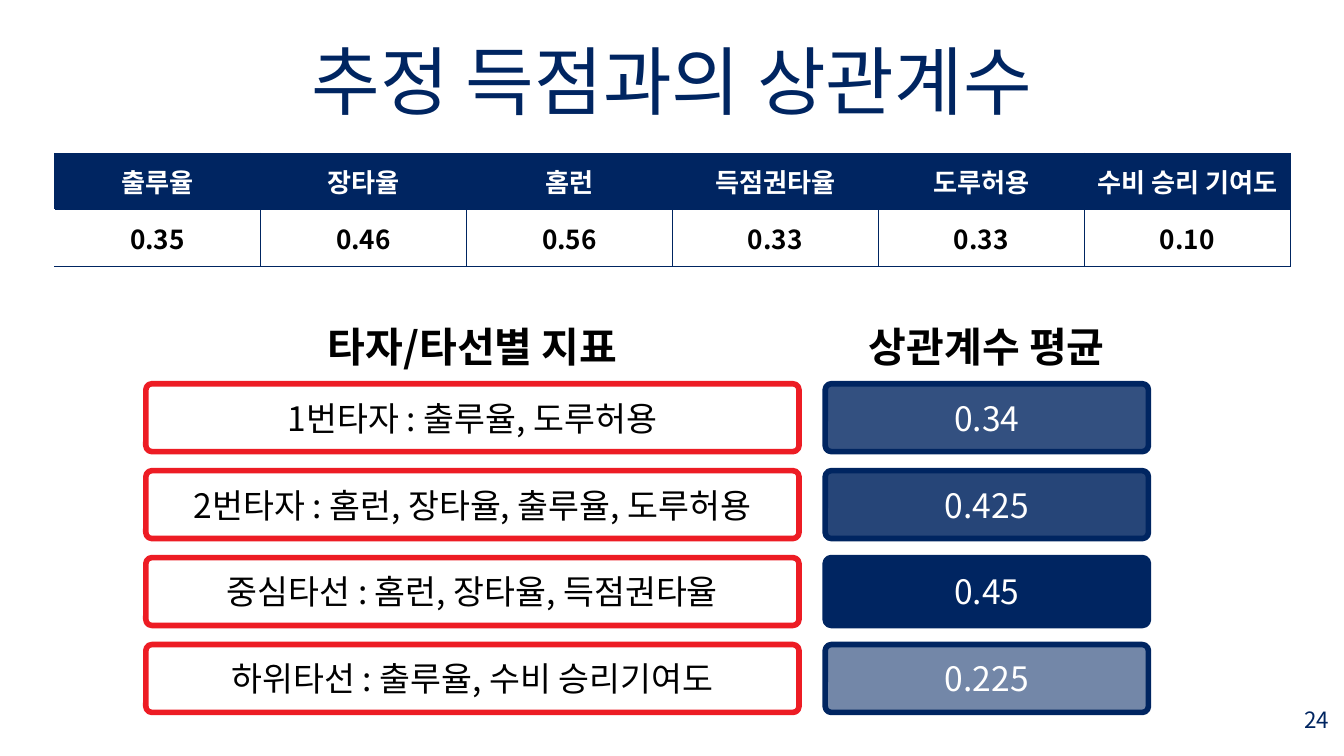
"""Build the slide on correlation with estimated runs in baseball."""
from dataclasses import dataclass

from lxml.etree import SubElement
from pptx import Presentation
from pptx.dml.color import RGBColor
from pptx.enum.shapes import MSO_SHAPE
from pptx.enum.text import MSO_ANCHOR, MSO_AUTO_SIZE, PP_ALIGN
from pptx.oxml.ns import qn
from pptx.util import Inches, Pt


@dataclass(frozen=True)
class Theme:
    font: str = "Noto Sans CJK KR"
    navy: str = "002561"
    red: str = "ED1C24"
    black: str = "000000"
    white: str = "FFFFFF"
    title: int = 80
    heading: int = 44
    body: int = 36
    table: int = 28
    number: int = 24
    outline: int = 6
    border: int = 1


theme = Theme()
presentation = Presentation()
presentation.slide_width = Inches(20)
presentation.slide_height = Inches(11.25)
slide = presentation.slides.add_slide(presentation.slide_layouts[5])


def share(left, top, width, height):
    """Turn percentages of the slide's size into lengths."""
    across, down = presentation.slide_width, presentation.slide_height
    return [int(part * whole / 100) for part, whole in
            zip((left, top, width, height), (across, down, across, down))]


def write_text(frame, text, *, size, color, bold=False, align=PP_ALIGN.CENTER):
    """Write one formatted paragraph into a text frame."""
    paragraph = frame.paragraphs[0]
    paragraph.alignment = align
    run = paragraph.add_run()
    run.text = text
    run.font.size = Pt(size)
    run.font.bold = bold
    run.font.name = theme.font
    run.font.color.rgb = RGBColor.from_string(color)
    SubElement(run.font._element, qn("a:ea"), typeface=theme.font)


title = slide.shapes.title
title.left, title.top, title.width, title.height = share(14.6, 3.73, 70.8, 14.67)
title.text_frame.auto_size = MSO_AUTO_SIZE.NONE
title.text_frame.vertical_anchor = MSO_ANCHOR.TOP
title.text_frame.margin_top = title.text_frame.margin_bottom = Inches(0.1)
write_text(title.text_frame, "추정 득점과의 상관계수", size=theme.title, color=theme.navy)

statistics = [
    ("출루율", "0.35"),
    ("장타율", "0.46"),
    ("홈런", "0.56"),
    ("득점권타율", "0.33"),
    ("도루허용", "0.33"),
    ("수비 승리 기여도", "0.10"),
]
table = slide.shapes.add_table(2, len(statistics), *share(4.05, 20.27, 91.95, 14.93)).table
table.horz_banding = False
for column, pair in enumerate(statistics):
    for row, text in enumerate(pair):
        cell = table.cell(row, column)
        cell.vertical_anchor = MSO_ANCHOR.MIDDLE
        sides = "RTB" if row == 1 and column == 0 else "LRTB"
        for side in sides:
            border = SubElement(cell._tc.get_or_add_tcPr(), qn(f"a:ln{side}"),
                                w=str(Pt(theme.border)))
            SubElement(SubElement(border, qn("a:solidFill")), qn("a:srgbClr"), val=theme.navy)
        cell.fill.solid()
        cell.fill.fore_color.rgb = RGBColor.from_string(theme.white if row else theme.navy)
        write_text(cell.text_frame, text, size=theme.table, bold=True,
                   color=theme.black if row else theme.white)

labels = [
    ("타자/타선별 지표", (16.55, 41.6, 37.25, 9), theme.heading, theme.black, True, PP_ALIGN.CENTER),
    ("상관계수 평균", (54.8, 41.6, 37.25, 9), theme.heading, theme.black, True, PP_ALIGN.CENTER),
    ("24", (87.9, 91.38, 11.5, 7.56), theme.number, theme.navy, False, PP_ALIGN.RIGHT),
]
for text, area, size, color, bold, align in labels:
    frame = slide.shapes.add_textbox(*share(*area)).text_frame
    frame.word_wrap = True
    frame.margin_top = frame.margin_bottom = Inches(0.1)
    if align == PP_ALIGN.RIGHT:
        frame.vertical_anchor = MSO_ANCHOR.MIDDLE
    write_text(frame, text, size=size, color=color, bold=bold, align=align)

lineups = [
    ("1번타자 : 출루율, 도루허용", "0.34", 80),
    ("2번타자 : 홈런, 장타율, 출루율, 도루허용", "0.425", 85),
    ("중심타선 : 홈런, 장타율, 득점권타율", "0.45", 100),
    ("하위타선 : 출루율, 수비 승리기여도", "0.225", 55),
]
first_row, row_pitch, row_height = 50.76, 11.5, 8.98
for row, (indicators, average, opacity) in enumerate(lineups):
    boxes = [
        (indicators, 10.85, 48.6, theme.white, theme.red, theme.black, 100),
        (average, 61.4, 24.05, theme.navy, theme.navy, theme.white, opacity),
    ]
    for text, left, width, fill, line, color, alpha in boxes:
        shape = slide.shapes.add_shape(
            MSO_SHAPE.ROUNDED_RECTANGLE,
            *share(left, first_row + row * row_pitch, width, row_height))
        shape.adjustments[0] = 0.09
        shape.shadow.inherit = False
        shape.fill.solid()
        shape.fill.fore_color.rgb = RGBColor.from_string(fill)
        if alpha < 100:
            fill_color = shape._element.spPr.find(qn("a:solidFill")).find(qn("a:srgbClr"))
            SubElement(fill_color, qn("a:alpha"), val=str(alpha * 1000))
        shape.line.color.rgb = RGBColor.from_string(line)
        shape.line.width = Pt(theme.outline)
        frame = shape.text_frame
        frame.word_wrap = True
        frame.margin_left = frame.margin_right = Inches(0.05)
        frame.vertical_anchor = MSO_ANCHOR.MIDDLE
        write_text(frame, text, size=theme.body, color=color)

presentation.save("out.pptx")
